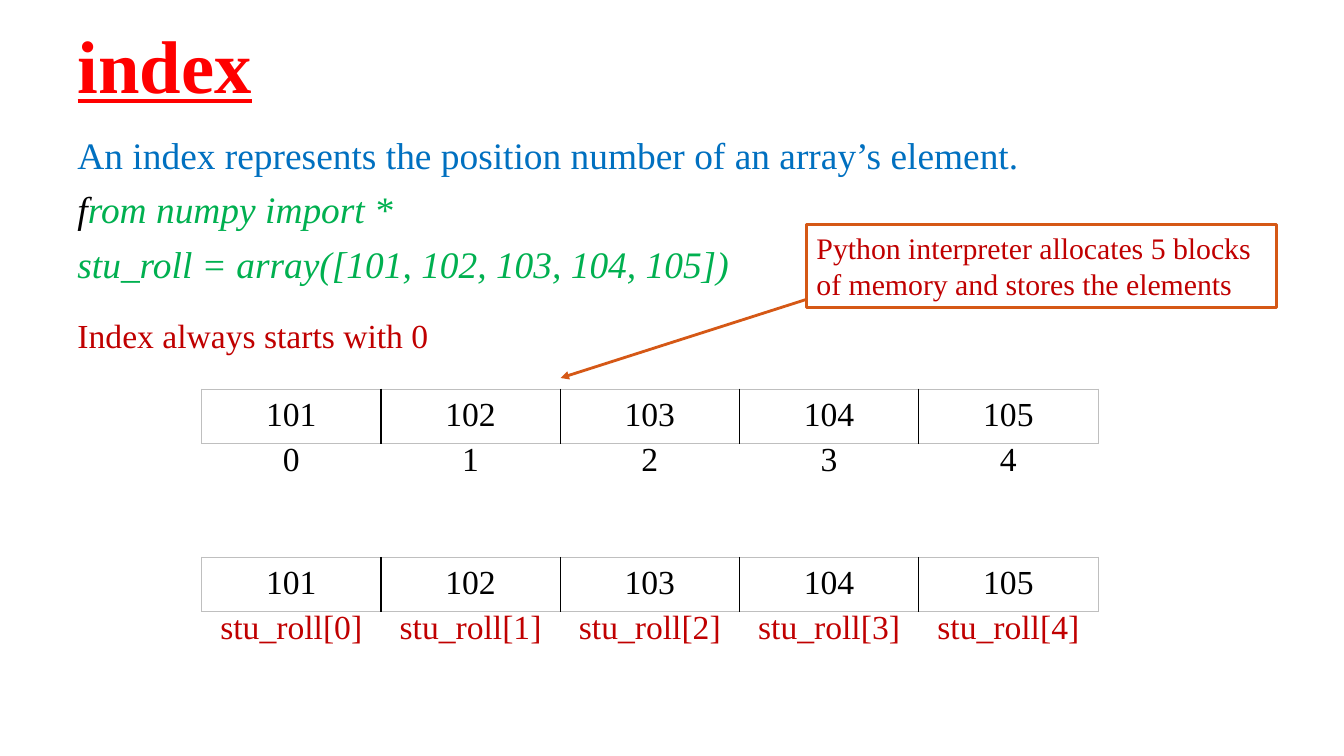
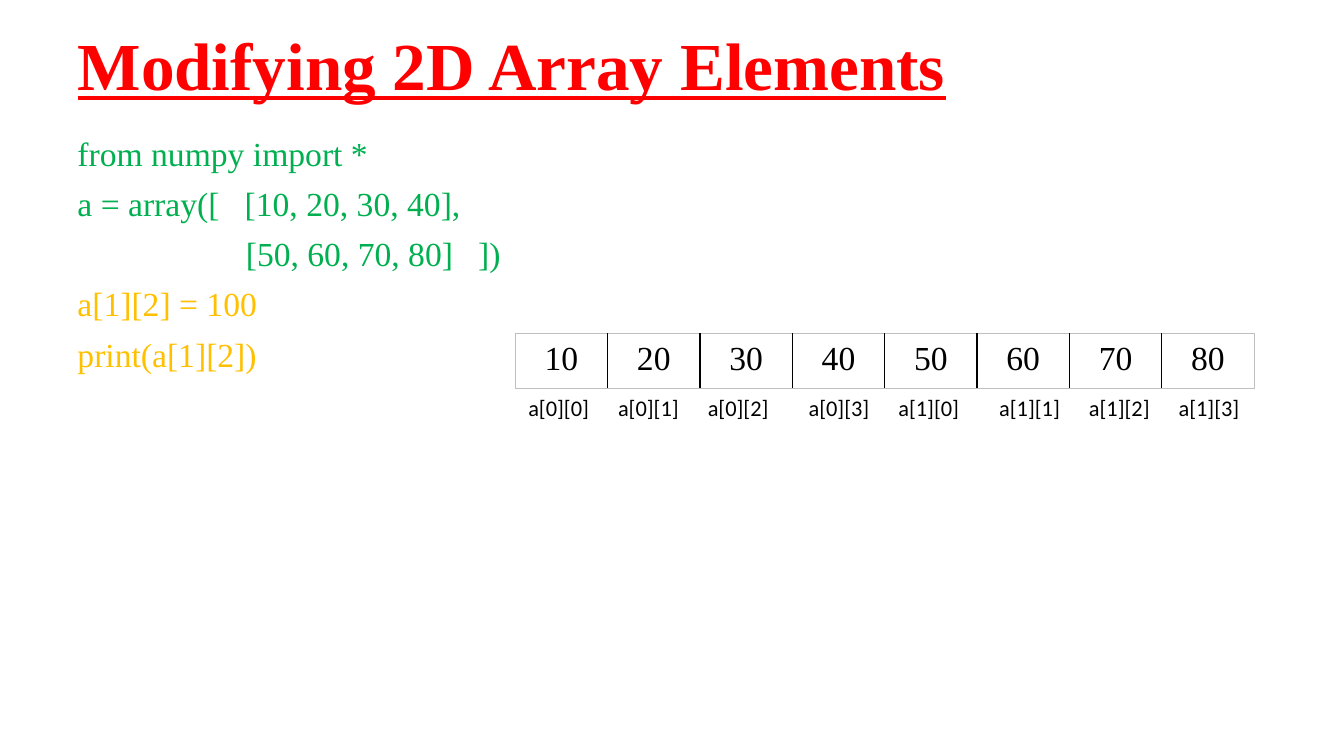
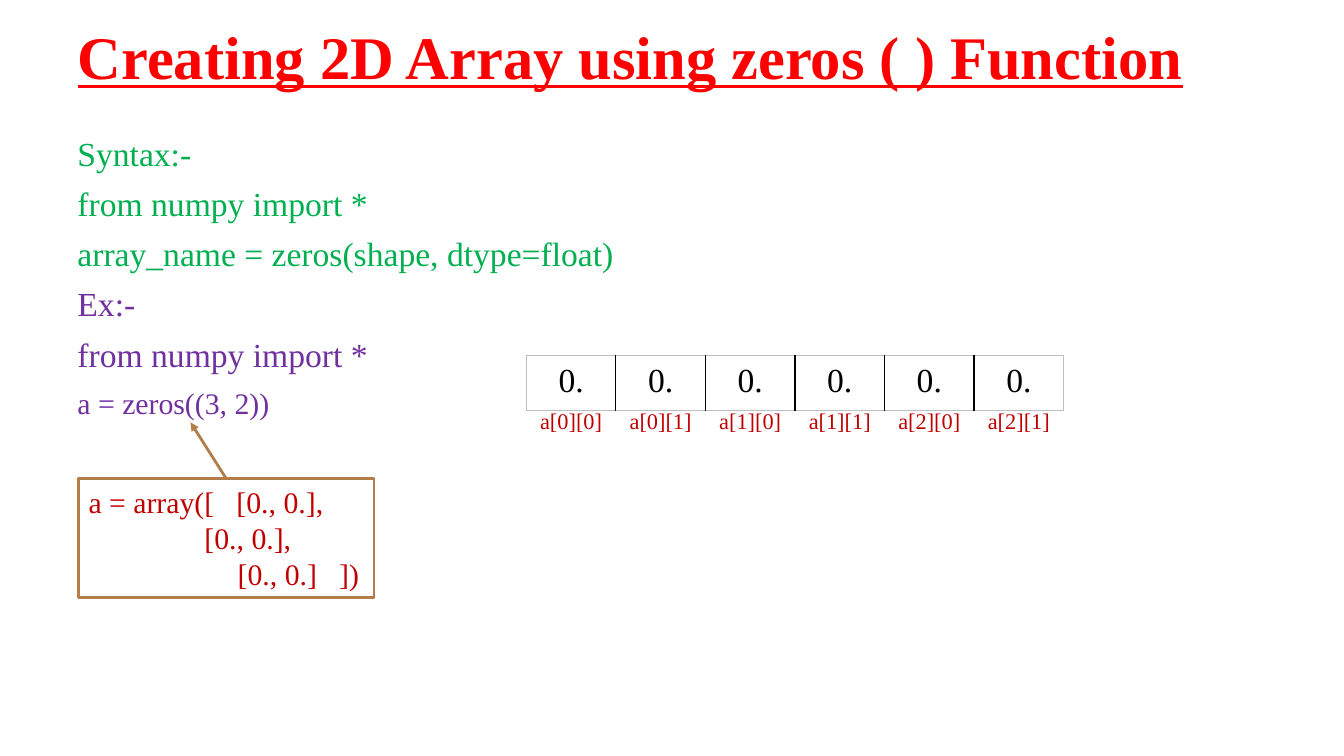
from dataclasses import dataclass

from lxml.etree import SubElement
from pptx import Presentation
from pptx.dml.color import RGBColor
from pptx.enum.shapes import MSO_CONNECTOR, MSO_SHAPE
from pptx.enum.text import MSO_ANCHOR, MSO_AUTO_SIZE, PP_ALIGN
from pptx.oxml.ns import qn
from pptx.util import Inches, Pt

COLORS = {
    "title": "FF0000", "black": "000000", "white": "FFFFFF", "frame": "BFBFBF",
    "blue": "0070C0", "green": "00B050", "gold": "FFC000", "purple": "7030A0",
    "dark_red": "C00000", "orange": "D55816", "brown": "B27D49",
}
SERIF = "Times New Roman"
ROW_H = 0.54
TITLE_ONLY = 5


@dataclass
class Line:
    """One paragraph; lead is an opening piece in black, indent is in inches."""
    text: str
    color: str
    size: float = 24
    italic: bool = False
    indent: float = 0
    lead: str = ""


def rgb(name):
    return RGBColor.from_string(COLORS[name])


def box(left, top, width, height):
    return [Inches(v) for v in (left, top, width, height)]


def style_run(r, color, size, font=SERIF, italic=False):
    r.font.name = font
    r.font.size = Pt(size)
    r.font.color.rgb = rgb(color)
    r.font.italic = italic


def write_lines(tf, lines, spacing=1.0, before=0):
    tf.word_wrap = True
    tf.vertical_anchor = MSO_ANCHOR.TOP
    for i, line in enumerate(lines):
        p = tf.add_paragraph() if i else tf.paragraphs[0]
        p.alignment = PP_ALIGN.LEFT
        p.line_spacing = spacing
        p.space_before = Pt(before)
        if line.indent:
            pPr = p._p.get_or_add_pPr()
            pPr.set("marL", str(Inches(line.indent)))
            pPr.set("indent", "0")
        for text, color in ((line.lead, "black"), (line.text, line.color)):
            if text:
                r = p.add_run()
                r.text = text
                style_run(r, color, line.size, italic=line.italic)


def add_titled_slide(prs, text, size, top=0.06):
    s = prs.slides.add_slide(prs.slide_layouts[TITLE_ONLY])
    title = s.shapes.title
    title.left, title.top, title.width, title.height = box(0.67, top, 12, 1.25)
    tf = title.text_frame
    tf.text = text
    tf.word_wrap = True
    tf.auto_size = MSO_AUTO_SIZE.NONE
    tf.vertical_anchor = MSO_ANCHOR.MIDDLE
    p = tf.paragraphs[0]
    p.alignment = PP_ALIGN.LEFT
    p.line_spacing = 0.9
    r = p.runs[0]
    style_run(r, "title", size)
    r.font.bold = r.font.underline = True
    return s


def add_body(s, lines, width, height):
    body = s.shapes.add_textbox(*box(0.67, 1.31, width, height))
    write_lines(body.text_frame, lines, spacing=0.9, before=10)


def add_callout(s, area, lines, line_color):
    callout = s.shapes.add_shape(MSO_SHAPE.RECTANGLE, *box(*area))
    callout.shadow.inherit = False
    callout.fill.solid()
    callout.fill.fore_color.rgb = rgb("white")
    callout.line.color.rgb = rgb(line_color)
    callout.line.width = Pt(2)
    write_lines(callout.text_frame, lines)
    return callout


def add_arrow(s, start, end, color):
    arrow = s.shapes.add_connector(MSO_CONNECTOR.STRAIGHT, *box(*start, *end))
    arrow.line.color.rgb = rgb(color)
    arrow.line.width = Pt(2)
    SubElement(arrow.line._get_or_add_ln(), qn("a:tailEnd"), type="triangle")
    SubElement(arrow._element.spPr, qn("a:effectLst"))
    return arrow


def set_borders(cell, edges):
    """Set the edges L, R, T, B, each as (colour, points) or None for no line."""
    tcPr = cell._tc.get_or_add_tcPr()
    for i, side in enumerate("LRTB"):
        edge = edges[side]
        ln = SubElement(tcPr, qn(f"a:ln{side}"))
        if edge:
            color, points = edge
            ln.set("w", str(Pt(points)))
            fill = SubElement(ln, qn("a:solidFill"))
            SubElement(fill, qn("a:srgbClr"), val=COLORS[color])
        else:
            SubElement(ln, qn("a:noFill"))
        tcPr.insert(i, ln)


def add_row(s, left, top, width, texts, color="black", size=24, font=SERIF,
            align=PP_ALIGN.CENTER, framed=False):
    """Add a table of one row with equal columns."""
    n = len(texts)
    table = s.shapes.add_table(1, n, *box(left, top, width, ROW_H)).table
    table.first_row = table.horz_banding = False
    outer, inner = (("frame", 0.75), ("black", 1)) if framed else (None, None)
    for i, text in enumerate(texts):
        table.columns[i].width = Inches(width / n)
        cell = table.cell(0, i)
        cell.margin_left = cell.margin_right = Inches(0.13)
        cell.margin_top = cell.margin_bottom = Inches(0.07)
        cell.fill.background()
        set_borders(cell, {"L": inner if i else outer,
                           "R": inner if i < n - 1 else outer,
                           "T": outer, "B": outer})
        p = cell.text_frame.paragraphs[0]
        p.text = text
        p.alignment = align
        style_run(p.runs[0], color, size, font)


def build_index(prs):
    s = add_titled_slide(prs, "index", 53.3)
    add_body(s, [
        Line("An index represents the position number of an array’s element.", "blue", 26.7),
        Line("rom numpy import *", "green", 26.7, italic=True, lead="f"),
        Line("stu_roll = array([101, 102, 103, 104, 105])", "green", 26.7, italic=True),
    ], 12, 2.32)
    note = s.shapes.add_textbox(*box(0.67, 3.08, 3.72, 0.5))
    write_lines(note.text_frame, [Line("Index always starts with 0", "dark_red")])
    add_callout(s, (8, 2.23, 4.66, 0.82), [
        Line("Python interpreter allocates 5 blocks of memory and stores the elements",
             "dark_red", 21.3)], "orange")
    add_arrow(s, (8, 2.97), (5.56, 3.75), "orange")

    rolls = [str(n) for n in range(101, 106)]
    positions = [str(i) for i in range(5)]
    names = [f"stu_roll[{i}]" for i in range(5)]
    for top, labels, color in ((3.86, positions, "black"), (5.53, names, "dark_red")):
        add_row(s, 2, top, 8.89, rolls, framed=True)
        add_row(s, 2, top + 0.45, 8.89, labels, color)


def build_modifying(prs):
    s = add_titled_slide(prs, "Modifying 2D Array Elements", 48)
    add_body(s, [
        Line("from numpy import *", "green"),
        Line("a = array([   [10, 20, 30, 40],", "green"),
        Line("[50, 60, 70, 80]   ])", "green", indent=1.67),
        Line("a[1][2] = 100", "gold"),
        Line("print(a[1][2])", "gold"),
    ], 8.78, 5.67)
    add_row(s, 5.11, 3.31, 7.33, [str(n) for n in range(10, 90, 10)], framed=True)
    label_lefts = (5.11, 6, 6.89, 7.89, 8.78, 9.78, 10.67, 11.56)
    for i, left in enumerate(label_lefts):
        add_row(s, left, 3.85, 0.89, [f"a[{i // 4}][{i % 4}]"], size=16,
                font="Calibri", align=PP_ALIGN.LEFT)


def build_zeros(prs):
    s = add_titled_slide(prs, "Creating 2D Array using zeros ( ) Function", 43.2, top=-0.03)
    add_body(s, [
        Line("Syntax:-", "green"),
        Line("from numpy import *", "green"),
        Line("array_name = zeros(shape, dtype=float)", "green"),
        Line("Ex:-", "purple"),
        Line("from numpy import *", "purple"),
        Line("a = zeros((3, 2))", "purple", 21.3),
    ], 12, 5.78)
    add_row(s, 5.22, 3.53, 5.33, ["0."] * 6, framed=True)
    add_row(s, 5.22, 3.99, 5.33, [f"a[{i // 2}][{i % 2}]" for i in range(6)],
            "dark_red", 16)
    result = add_callout(s, (0.78, 4.75, 2.93, 1.18), [
        Line("a = array([   [0., 0.],", "dark_red", 21.3),
        Line("[0., 0.],", "dark_red", 21.3, indent=1.15),
        Line("[0., 0.]   ])", "dark_red", 21.3, indent=1.48),
    ], "brown")
    arrow = add_arrow(s, (2.25, 4.75), (1.89, 4.19), "brown")
    arrow.begin_connect(result, 0)


def main():
    prs = Presentation()
    prs.slide_width, prs.slide_height = Inches(13.33), Inches(7.5)
    build_index(prs)
    build_modifying(prs)
    build_zeros(prs)
    prs.save("out.pptx")


if __name__ == "__main__":
    main()
